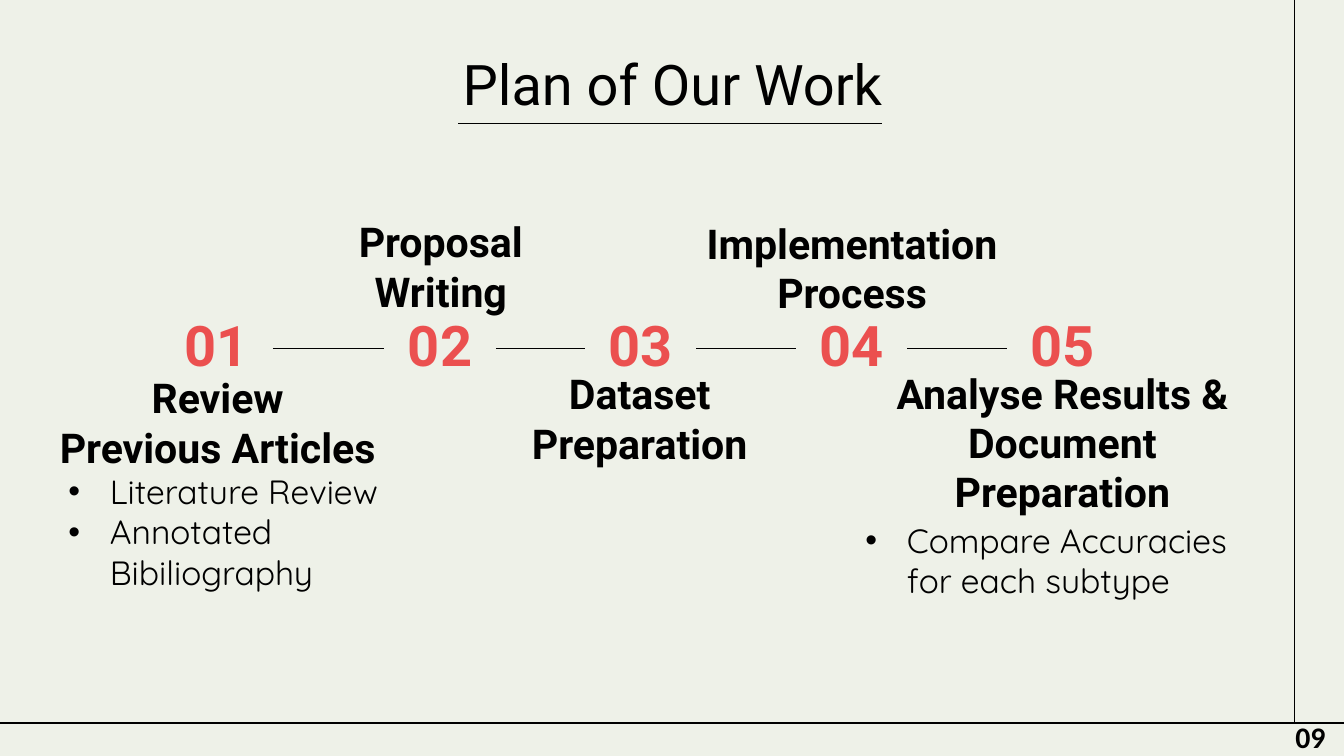
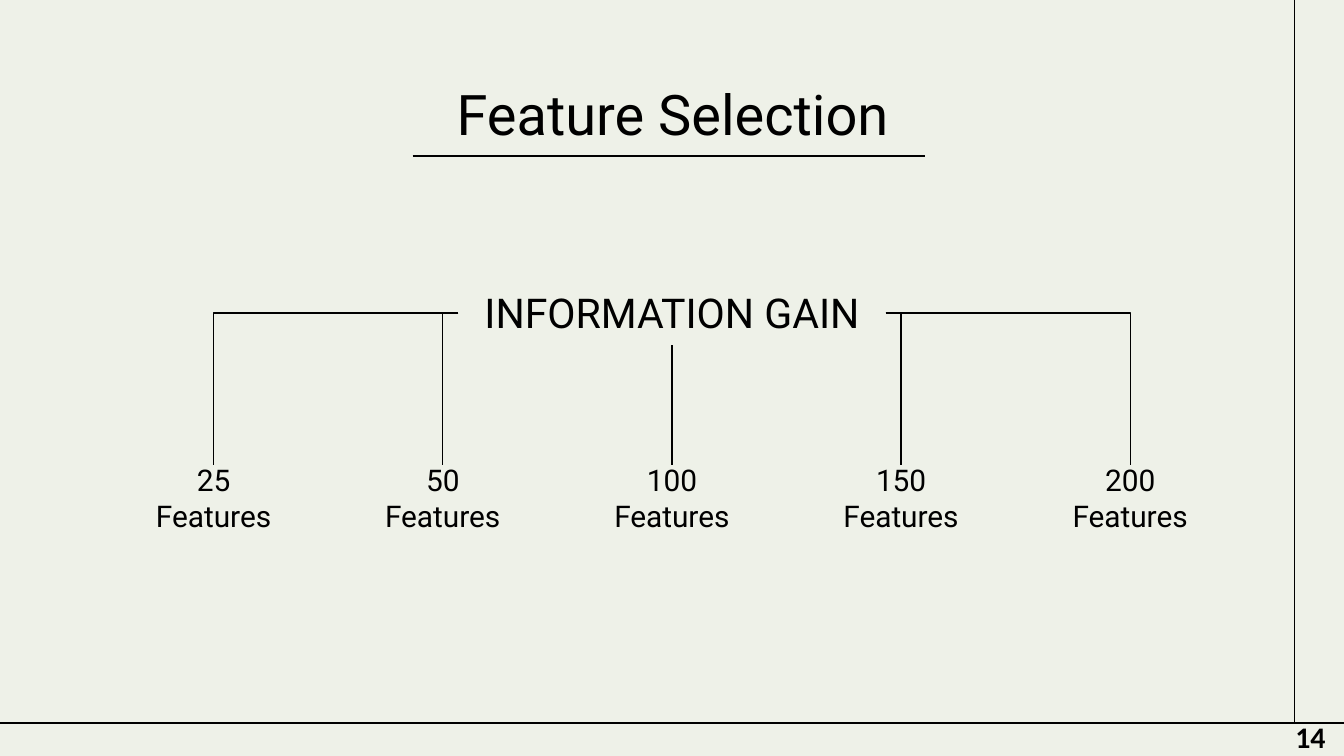
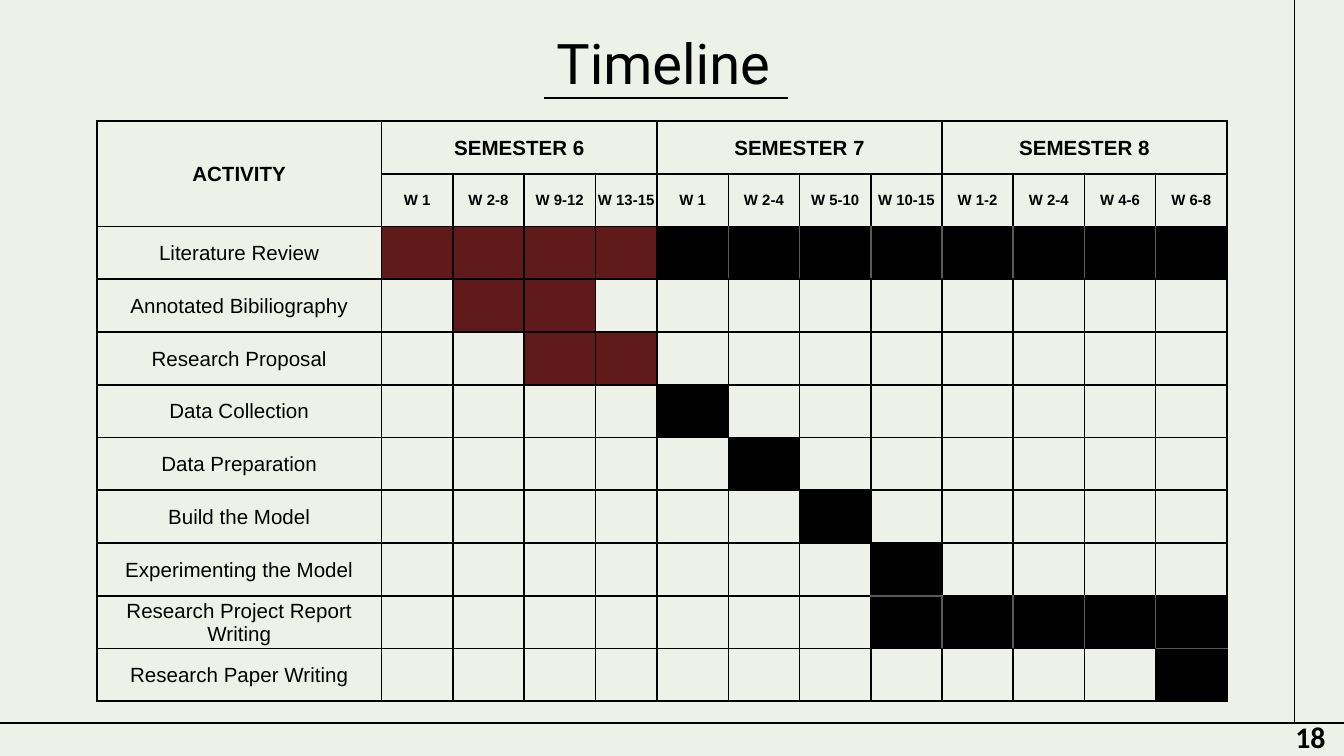
"""Build three project slides: work plan, feature selection and timeline."""
from lxml import etree
from pptx import Presentation
from pptx.dml.color import RGBColor
from pptx.enum.shapes import MSO_CONNECTOR
from pptx.enum.text import MSO_ANCHOR, MSO_AUTO_SIZE, PP_ALIGN
from pptx.oxml.ns import qn
from pptx.util import Inches, Pt

STRAIGHT, ELBOW = MSO_CONNECTOR.STRAIGHT, MSO_CONNECTOR.ELBOW
TOP, MIDDLE, BOTTOM = MSO_ANCHOR.TOP, MSO_ANCHOR.MIDDLE, MSO_ANCHOR.BOTTOM
LEFT, CENTER = PP_ALIGN.LEFT, PP_ALIGN.CENTER
FIT_SHAPE = MSO_AUTO_SIZE.SHAPE_TO_FIT_TEXT
SIDE_TOP, SIDE_LEFT, SIDE_BOTTOM, SIDE_RIGHT = range(4)

SLIDE_WIDTH = Inches(10)
SLIDE_HEIGHT = SLIDE_WIDTH * 9 // 16

COLORS = {
    "background": "EEF1E8",
    "ink": "000000",
    "number": "EB504F",
    "done": "601A1A",
    "planned": "000000",
    "planned_edge": "595959",
}

NUMBER_LEFTS = [1.2, 2.86, 4.35, 5.92, 7.49]
NUMBER_TOP, NUMBER_WIDTH, NUMBER_HEIGHT = 2.28, 0.83, 0.63
STAGES = [
    (["Review", "Previous Articles"], 0.2, 2.93, 2.84),
    (["Proposal Writing"], 2.21, 1.77, 2.14),
    (["Dataset", "Preparation"], 3.69, 2.9, 2.14),
    (["Implementation Process"], 4.93, 1.78, 2.82),
    (["Analyse Results & Document Preparation"], 6.56, 3.08, 2.69),
]
STAGE_DETAILS = [
    (["Literature Review", "Annotated Bibiliography"], 0.41, 3.48, 2.7),
    (["Compare Accuracies for each subtype"], 6.34, 3.69, 2.97),
]

METHOD = "INFORMATION GAIN"
FEATURE_COUNTS = [25, 50, 100, 150, 200]
FIRST_FEATURE_LEFT, LAST_FEATURE_LEFT = 0.79, 7.61

SEMESTERS = [
    ("SEMESTER 6", ["W 1", "W 2-8", "W 9-12", "W 13-15"]),
    ("SEMESTER 7", ["W 1", "W 2-4", "W 5-10", "W 10-15"]),
    ("SEMESTER 8", ["W 1-2", "W 2-4", "W 4-6", "W 6-8"]),
]
ACTIVITIES = [
    ("Literature Review", {"done": range(1, 5), "planned": range(5, 13)}),
    ("Annotated Bibiliography", {"done": [2, 3]}),
    ("Research Proposal", {"done": [3, 4]}),
    ("Data Collection", {"planned": [5]}),
    ("Data Preparation", {"planned": [6]}),
    ("Build the Model", {"planned": [7]}),
    ("Experimenting the Model", {"planned": [8]}),
    ("Research Project Report Writing", {"planned": range(8, 13)}),
    ("Research Paper Writing", {"planned": [12]}),
]
COLUMN_WIDTHS = [2.12] + [0.53] * 3 + [0.46] + [0.53] * 8
HEADER_ROWS = 2
EDGES = {"a:lnL": (0, -1), "a:lnR": (0, 1), "a:lnT": (-1, 0), "a:lnB": (1, 0)}


def color(name):
    return RGBColor.from_string(COLORS[name])


def style_paragraph(paragraph, size, font, bold=False, ink="ink", align=CENTER):
    paragraph.alignment = align
    paragraph.font.size = Pt(size)
    paragraph.font.name = font
    paragraph.font.bold = bold
    paragraph.font.color.rgb = color(ink)


def add_bullet(paragraph):
    properties = paragraph._p.get_or_add_pPr()
    properties.set("marL", str(Inches(0.31)))
    properties.set("indent", str(-Inches(0.31)))
    bullet_color = etree.SubElement(properties, qn("a:buClr"))
    etree.SubElement(bullet_color, qn("a:srgbClr"), val=COLORS["ink"])
    etree.SubElement(properties, qn("a:buFont"), typeface="Arial")
    etree.SubElement(properties, qn("a:buChar"), char="•")


def add_text(slide, lines, box, size, font="Roboto", anchor=MIDDLE,
             inset=0.1, bullets=False, **style):
    shape = slide.shapes.add_textbox(*map(Inches, box))
    frame = shape.text_frame
    frame.word_wrap = True
    frame.vertical_anchor = anchor
    frame.margin_left = frame.margin_right = Inches(0.1)
    frame.margin_top = frame.margin_bottom = Inches(inset)
    frame.text = "\n".join(lines)
    for paragraph in frame.paragraphs:
        if bullets:
            add_bullet(paragraph)
        style_paragraph(paragraph, size, font, **style)
    return shape


def add_line(slide, start, end, kind=STRAIGHT):
    line = slide.shapes.add_connector(kind, *map(Inches, start + end))
    line.line.color.rgb = color("ink")
    line.line.width = Pt(0.75)
    etree.SubElement(line._element.spPr, qn("a:effectLst"))
    return line


def join(slide, first, first_side, second, second_side):
    line = add_line(slide, (0, 0), (1, 1))
    line.begin_connect(first, first_side)
    line.end_connect(second, second_side)


def add_slide(presentation, title, title_left, title_top, underline, page):
    slide = presentation.slides.add_slide(presentation.slide_layouts[6])
    add_line(slide, (9.63, -0.01), (9.63, 5.38))
    add_line(slide, (0, 5.38), (10.06, 5.38))
    add_text(slide, [title], (title_left, title_top, 8.43, 0.63), 30, anchor=TOP)
    left, right, height = underline
    add_line(slide, (left, height), (right, height))
    number = add_text(slide, [page], (9.54, 5.3, 0.46, 0.37), 16, "Calibri",
                      TOP, 0.05, bold=True, align=LEFT)
    number.text_frame.auto_size = FIT_SHAPE
    return slide


def build_plan(presentation):
    slide = add_slide(presentation, "Plan of Our Work", 0.79, 0.27,
                      (3.41, 6.56, 0.92), "09")
    numbers = [
        add_text(slide, [f"{index:02}"], (left, NUMBER_TOP, NUMBER_WIDTH, NUMBER_HEIGHT),
                 30, anchor=BOTTOM, bold=True, ink="number")
        for index, left in enumerate(NUMBER_LEFTS, 1)
    ]
    for first, second in zip(numbers, numbers[1:]):
        join(slide, first, SIDE_RIGHT, second, SIDE_LEFT)
    for lines, left, top, width in STAGES:
        add_text(slide, lines, (left, top, width, 0.42), 22, bold=True)
    for lines, left, top, width in STAGE_DETAILS:
        add_text(slide, lines, (left, top, width, 0.95), 18, "Quicksand",
                 bullets=True, align=LEFT)


def build_features(presentation):
    slide = add_slide(presentation, "Feature Selection", 0.79, 0.49,
                      (3.07, 6.88, 1.16), "14")
    method = add_text(slide, [METHOD], (3.41, 2.08, 3.18, 0.49), 22)
    middle = len(FEATURE_COUNTS) // 2
    pitch = (LAST_FEATURE_LEFT - FIRST_FEATURE_LEFT) / (len(FEATURE_COUNTS) - 1)
    for index, count in enumerate(FEATURE_COUNTS):
        left = FIRST_FEATURE_LEFT + index * pitch
        feature = add_text(slide, [str(count), "Features"], (left, 3.46, 1.6, 0.49), 16)
        if index == middle:
            join(slide, method, SIDE_BOTTOM, feature, SIDE_TOP)
            continue
        start = 3.41 if index < middle else 6.59
        branch = add_line(slide, (start, 2.33), (left + 0.8, 3.46), ELBOW)
        branch._element.spPr.find(qn("a:prstGeom")).set("prst", "bentConnector2")


def set_borders(cell, edge_colors):
    properties = cell._tc.get_or_add_tcPr()
    for tag, name in edge_colors.items():
        border = etree.SubElement(properties, qn(tag), w=str(Pt(1)))
        fill = etree.SubElement(border, qn("a:solidFill"))
        etree.SubElement(fill, qn("a:srgbClr"), val=COLORS[name])


def write_cell(cell, text, size=11, bold=True):
    cell.text = text
    style_paragraph(cell.text_frame.paragraphs[0], size, "Arial", bold)


def build_timeline(presentation):
    slide = add_slide(presentation, "Timeline", 0.72, 0.11, (4.05, 5.86, 0.73), "18")
    row_count = HEADER_ROWS + len(ACTIVITIES)
    table = slide.shapes.add_table(
        row_count, len(COLUMN_WIDTHS),
        Inches(0.72), Inches(0.9), Inches(8.42), Inches(4.32)).table
    table.first_row = table.horz_banding = False
    for column, width in zip(table.columns, COLUMN_WIDTHS):
        column.width = Inches(width)

    status = {
        (row, column): name
        for row, (_, periods) in enumerate(ACTIVITIES, HEADER_ROWS)
        for name, columns in periods.items()
        for column in columns
    }
    for row in range(row_count):
        for column in range(len(COLUMN_WIDTHS)):
            cell = table.cell(row, column)
            name = status.get((row, column))
            set_borders(cell, {
                tag: "planned_edge"
                if name == status.get((row + down, column + across)) == "planned"
                else "ink"
                for tag, (down, across) in EDGES.items()
            })
            cell.margin_left = cell.margin_right = cell.margin_top = Inches(0.01)
            cell.margin_bottom = 0
            cell.vertical_anchor = MIDDLE
            if name:
                cell.fill.solid()
                cell.fill.fore_color.rgb = color(name)
            else:
                cell.fill.background()

    table.cell(0, 0).merge(table.cell(1, 0))
    write_cell(table.cell(0, 0), "ACTIVITY")
    column = 1
    for semester, weeks in SEMESTERS:
        table.cell(0, column).merge(table.cell(0, column + len(weeks) - 1))
        write_cell(table.cell(0, column), semester)
        for week in weeks:
            write_cell(table.cell(1, column), week, size=8)
            column += 1
    for row, (activity, _) in enumerate(ACTIVITIES, HEADER_ROWS):
        write_cell(table.cell(row, 0), activity, bold=False)


def main():
    presentation = Presentation()
    presentation.slide_width, presentation.slide_height = SLIDE_WIDTH, SLIDE_HEIGHT
    background = presentation.slide_master.background.fill
    background.solid()
    background.fore_color.rgb = color("background")
    build_plan(presentation)
    build_features(presentation)
    build_timeline(presentation)
    presentation.save("out.pptx")


if __name__ == "__main__":
    main()
